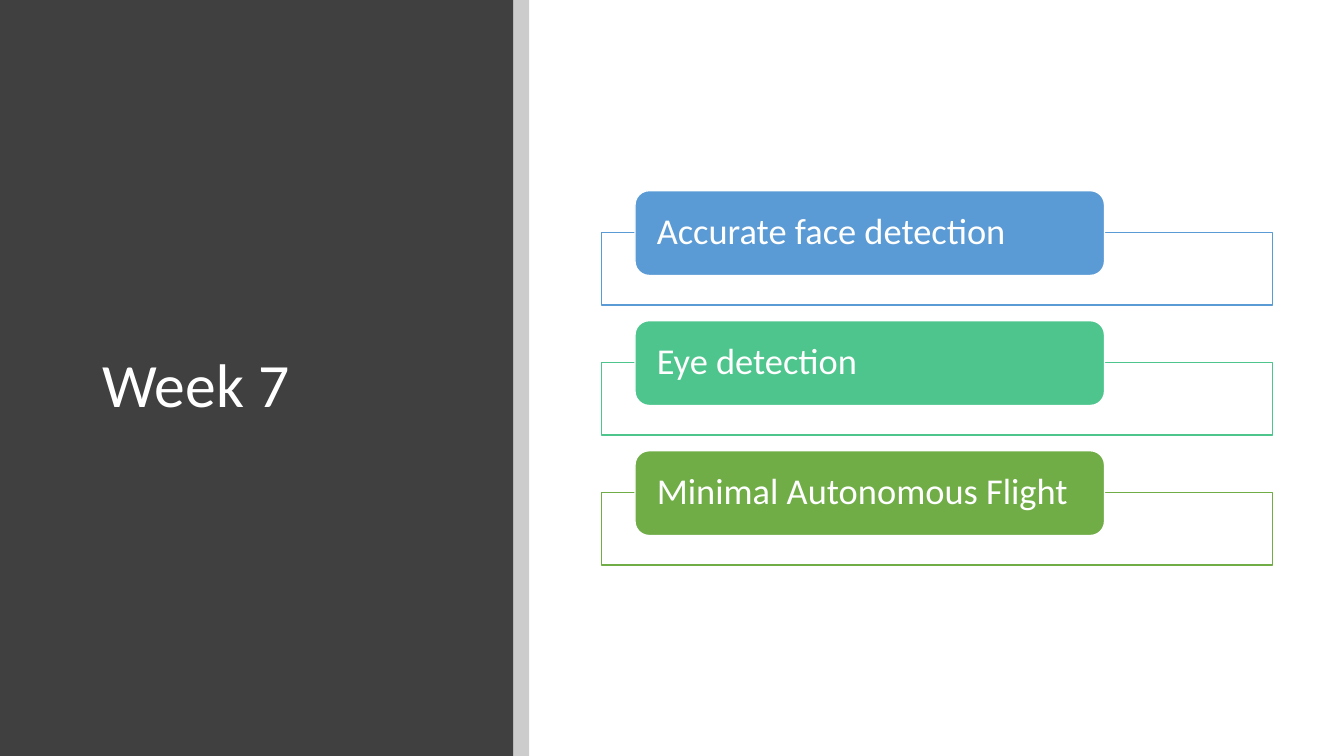
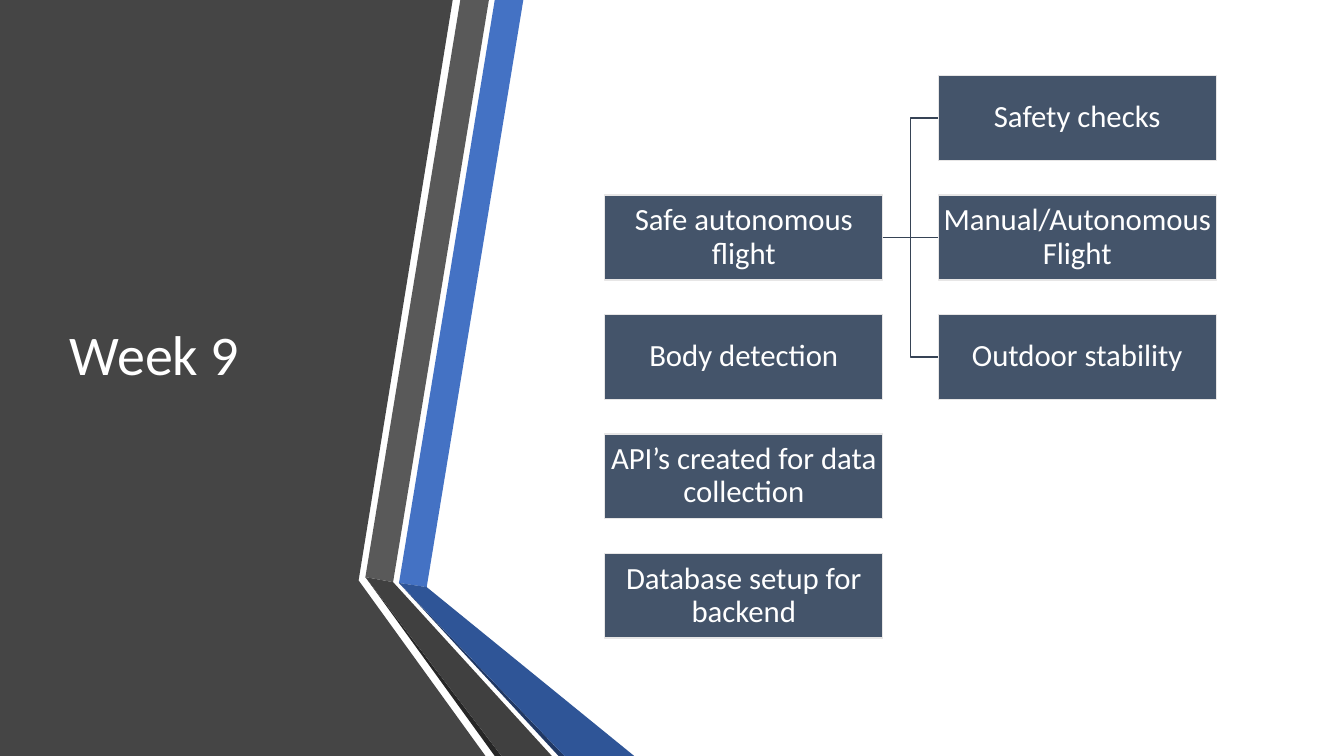
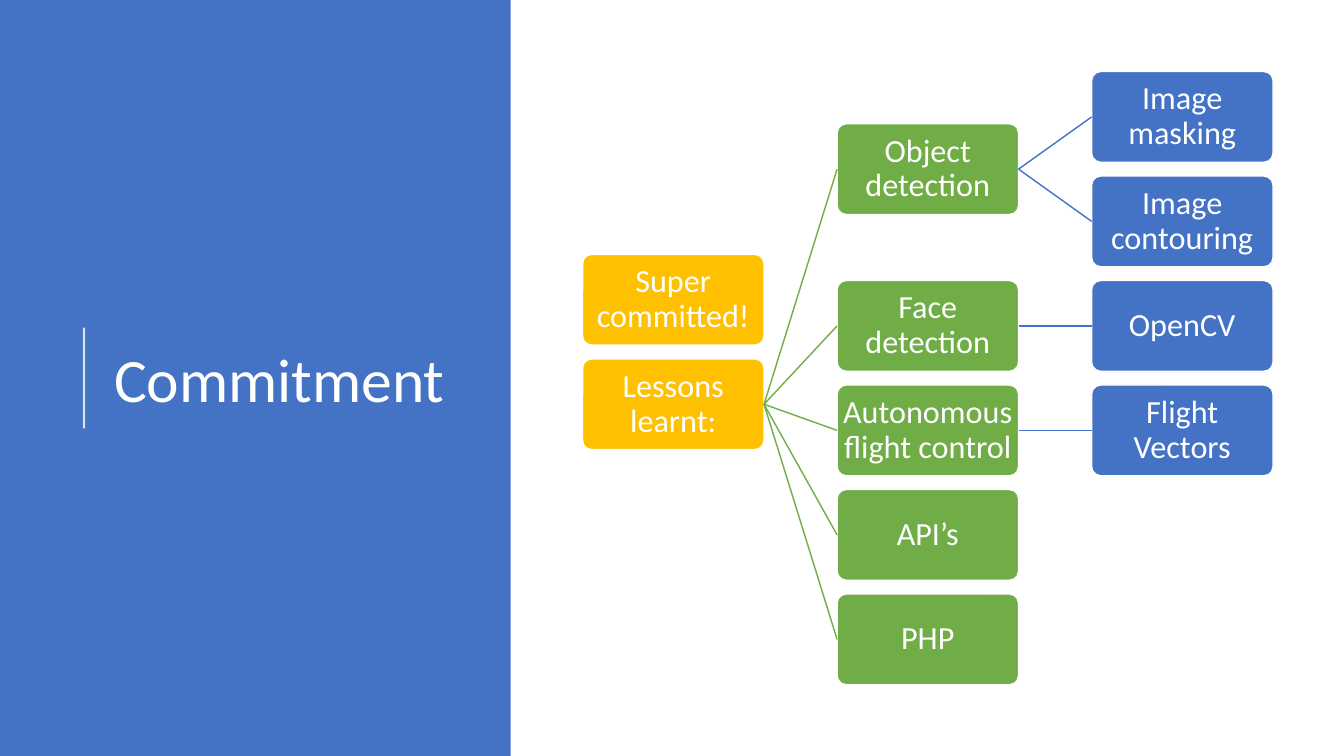
from lxml import etree
from pptx import Presentation
from pptx.dml.color import RGBColor
from pptx.enum.shapes import MSO_CONNECTOR, MSO_SHAPE
from pptx.enum.text import MSO_ANCHOR, PP_ALIGN
from pptx.oxml.ns import qn
from pptx.util import Emu, Pt

RECT, ROUNDED = MSO_SHAPE.RECTANGLE, MSO_SHAPE.ROUNDED_RECTANGLE
STRAIGHT, ELBOW = MSO_CONNECTOR.STRAIGHT, MSO_CONNECTOR.ELBOW
LEFT, CENTER, MIDDLE = PP_ALIGN.LEFT, PP_ALIGN.CENTER, MSO_ANCHOR.MIDDLE

WHITE = RGBColor(0xFF, 0xFF, 0xFF)
BLACK = RGBColor(0x00, 0x00, 0x00)
CHARCOAL = RGBColor(0x40, 0x40, 0x40)
GRAPHITE = RGBColor(0x45, 0x45, 0x45)
GREY = RGBColor(0x59, 0x59, 0x59)
SOOT = RGBColor(0x26, 0x26, 0x26)
BLUE = RGBColor(0x44, 0x72, 0xC4)
DEEP_BLUE = RGBColor(0x2F, 0x55, 0x97)
NAVY = RGBColor(0x20, 0x38, 0x64)
SKY = RGBColor(0x5B, 0x9B, 0xD5)
MINT = RGBColor(0x4D, 0xC5, 0x8D)
GREEN = RGBColor(0x70, 0xAD, 0x47)
GOLD = RGBColor(0xFF, 0xC0, 0x00)
SLATE = RGBColor(0x44, 0x54, 0x6A)
DARK_SLATE = RGBColor(0x36, 0x43, 0x55)
MIST = RGBColor(0xE7, 0xE6, 0xE6)

COLUMNS, ROWS = 160, 90
CELL = 76200
FONT = "Calibri"


def cells(count):
    return Emu(round(count * CELL))


class Deck:
    """Holds the shared style and the current slide, measured in grid cells."""

    def __init__(self):
        self.deck = Presentation()
        self.deck.slide_width = cells(COLUMNS)
        self.deck.slide_height = cells(ROWS)
        self.shapes = None

    def add_page(self):
        self.shapes = self.deck.slides.add_slide(self.deck.slide_layouts[6]).shapes

    def paint(self, shape, fill, line=None):
        shape.shadow.inherit = False
        shape.fill.solid()
        shape.fill.fore_color.rgb = fill
        if line is None:
            shape.line.fill.background()
        else:
            shape.line.color.rgb = line
            shape.line.width = Pt(1)

    def fade(self, shape, percent):
        color = shape._element.spPr.find(".//" + qn("a:srgbClr"))
        etree.SubElement(color, qn("a:alpha"), val=str(percent * 1000))

    def label(self, shape, text, size, align=LEFT, inset=1.2):
        frame = shape.text_frame
        frame.word_wrap = True
        frame.vertical_anchor = MIDDLE
        frame.margin_left = frame.margin_right = cells(inset)
        frame.margin_top = frame.margin_bottom = 0
        para = frame.paragraphs[0]
        para.text = text
        para.alignment = align
        para.line_spacing = 0.9
        para.font.name = FONT
        para.font.size = Pt(size)
        para.font.color.rgb = WHITE

    def block(self, left, top, width, height, fill, line=None, kind=RECT):
        shape = self.shapes.add_shape(
            kind, cells(left), cells(top), cells(width), cells(height))
        self.paint(shape, fill, line)
        return shape

    def title(self, text, left, top, width, height, size=44):
        box = self.shapes.add_textbox(
            cells(left), cells(top), cells(width), cells(height))
        self.label(box, text, size)

    def outline(self, fill, points):
        start, *rest = [(cells(x), cells(y)) for x, y in points]
        builder = self.shapes.build_freeform(*start)
        builder.add_line_segments(rest)
        self.paint(builder.convert_to_shape(), fill)

    def line(self, start, end, color, width=1, kind=STRAIGHT):
        connector = self.shapes.add_connector(
            kind, *(cells(value) for value in (*start, *end)))
        connector.line.color.rgb = color
        connector.line.width = Pt(width)
        etree.SubElement(connector._element.spPr, qn("a:effectLst"))
        return connector

    def link(self, parent, child, color, kind=STRAIGHT):
        connector = self.line((0, 0), (0, 0), color, kind=kind)
        connector.begin_connect(parent, 3)
        connector.end_connect(child, 1)


def week_seven(deck):
    deck.add_page()
    deck.block(0, 0, 61.1, ROWS, CHARCOAL)
    deck.title("Week 7", 11, 10.7, 43.8, 70.9)
    deck.fade(deck.block(61.1, 0, 1.9, ROWS, BLACK), 20)
    goals = [("Accurate face detection", SKY), ("Eye detection", MINT),
             ("Minimal Autonomous Flight", GREEN)]
    for index, (goal, color) in enumerate(goals):
        top = 22.7 + index * 15.48
        deck.block(71.6, top + 5, 79.9, 8.6, WHITE, color)
        tab = deck.block(75.6, top, 55.9, 10.1, color, WHITE, ROUNDED)
        deck.label(tab, goal, 26, inset=2.1)


def week_nine(deck):
    deck.add_page()
    ribbon = [
        (GRAPHITE, [(0, 0), (53.9, 0), (42.7, 69.1), (57.8, 90), (0, 90)]),
        (BLUE, [(47.5, 69.4), (50.8, 69.9), (62.3, 0), (58.9, 0)]),
        (GREY, [(58.2, 0), (54.8, 0), (43.5, 68.7), (46.8, 69.3)]),
        (SOOT, [(43.5, 68.7), (58.9, 90), (59.7, 90)]),
        (NAVY, [(47.5, 69.4), (66.5, 90), (67.2, 90)]),
        (DEEP_BLUE, [(47.5, 69.4), (67.2, 90), (75.5, 90), (50.8, 69.9)]),
        (CHARCOAL, [(65.7, 90), (46.8, 69.3), (43.5, 68.7), (59.7, 90)]),
    ]
    for fill, points in ribbon:
        deck.outline(fill, points)
    deck.title("Week 9", 7.1, 9, 36.5, 67, size=40)

    def task(text, column, row):
        box = deck.block(72 + column * 39.7, 9 + row * 14.22, 33.1, 10.1, SLATE, MIST)
        deck.label(box, text, 22, CENTER, 0.24)
        return box

    tasks = ["Safe autonomous flight", "Body detection",
             "API’s created for data collection", "Database setup for backend"]
    flight, *_ = [task(text, 0, row) for row, text in enumerate(tasks, 1)]
    checks = ["Safety checks", "Manual/Autonomous Flight", "Outdoor stability"]
    for row, text in enumerate(checks):
        kind = STRAIGHT if row == 1 else ELBOW
        deck.link(flight, task(text, 1, row), DARK_SLATE, kind)


def commitment(deck):
    deck.add_page()
    deck.block(0, 0, 60.8, ROWS, BLUE)
    deck.title("Commitment", 12.4, 9.4, 44.3, 72.2)
    deck.fade(deck.line((10, 51), (10, 39), WHITE, 1.5), 80)
    level_colors = [GOLD, GREEN, BLUE]

    def node(text, level, row, parent=None):
        color = level_colors[level]
        box = deck.block(69.36 + level * 30.3, 8.52 + row * 12.44, 21.6, 10.8,
                         color, WHITE, ROUNDED)
        box.adjustments[0] = 0.1
        deck.label(box, text, 23, CENTER, 0.24)
        if parent is not None:
            deck.link(parent, box, color)
        return box

    node("Super committed!", 0, 1.75)
    lessons = node("Lessons learnt:", 0, 2.75)
    topics = [
        ("Object detection", 0.5, [("Image masking", 0), ("Image contouring", 1)]),
        ("Face detection", 2, [("OpenCV", 2)]),
        ("Autonomous flight control", 3, [("Flight Vectors", 3)]),
        ("API’s", 4, []),
        ("PHP", 5, []),
    ]
    for text, row, details in topics:
        topic = node(text, 1, row, lessons)
        for detail, detail_row in details:
            node(detail, 2, detail_row, topic)


def main():
    deck = Deck()
    week_seven(deck)
    week_nine(deck)
    commitment(deck)
    deck.deck.save("out.pptx")


if __name__ == "__main__":
    main()
